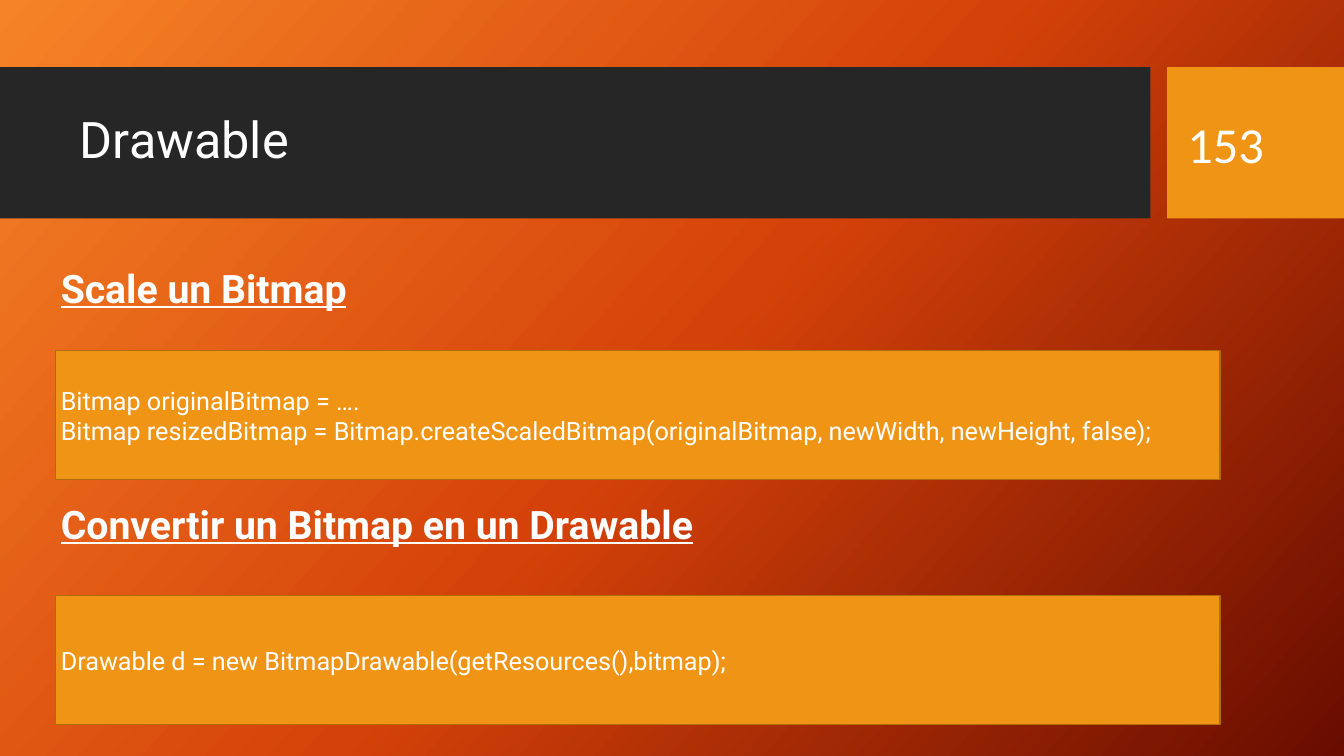
from copy import deepcopy

from pptx import Presentation
from pptx import util as u
from pptx.dml.color import RGBColor
from pptx.enum import shapes, text

WHITE, DARK, ORANGE, BROWN = "FFFFFF", "262626", "F09415", "AF6C0F"


def colour(code):
    return RGBColor.from_string(code)


class SlideBuilder:
    """Holds the style and the current slide."""

    font = "Roboto"
    inset = 3.6

    def __init__(self, deck):
        self.page = deck.slides.add_slide(deck.slide_layouts[5])

    def background(self, codes, angle):
        fill = self.page.background.fill
        fill.gradient()
        fill.gradient_angle = 360 - angle
        stop_list = self.page.element.xpath(".//p:bg//a:gsLst")[0]
        while len(stop_list) < len(codes):
            stop_list.append(deepcopy(stop_list[-1]))
        for index, (stop, code) in enumerate(zip(fill.gradient_stops, codes)):
            stop.position = index / (len(codes) - 1)
            stop.color.rgb = colour(code)

    def set_text(self, box, words, size, font=None, bold=False,
                 anchor=text.MSO_ANCHOR.MIDDLE, wrap=True):
        frame = box.text_frame
        frame.text = words
        frame.word_wrap = wrap
        frame.auto_size = text.MSO_AUTO_SIZE.NONE
        frame.vertical_anchor = anchor
        frame.margin_left = frame.margin_right = u.Pt(self.inset)
        frame.margin_top = frame.margin_bottom = u.Pt(self.inset)
        for para in frame.paragraphs:
            para.alignment = text.PP_ALIGN.LEFT
            for span in para.runs:
                span.font.name = font or self.font
                span.font.size = u.Pt(size)
                span.font.bold = bold
                span.font.underline = bold
                span.font.color.rgb = colour(WHITE)

    def title(self, words, left, top, width, height):
        box = self.page.shapes.title
        box.left, box.top = u.Pt(left), u.Pt(top)
        box.width, box.height = u.Pt(width), u.Pt(height)
        self.set_text(box, words, 36)
        box.text_frame.paragraphs[0].line_spacing = 0.9

    def rectangle(self, left, top, width, height, fill, line=None):
        box = self.page.shapes.add_shape(
            shapes.MSO_SHAPE.RECTANGLE,
            u.Pt(left), u.Pt(top), u.Pt(width), u.Pt(height))
        box.shadow.inherit = False
        box.fill.solid()
        box.fill.fore_color.rgb = colour(fill)
        if line:
            box.line.color.rgb = colour(line)
            box.line.width = u.Pt(1)
        else:
            box.line.fill.background()
        return box

    def band(self, left, width, fill):
        """A header band, kept behind the title."""
        box = self.rectangle(left, 48, width, 108, fill)
        self.page.shapes.title.element.addprevious(box.element)

    def label(self, words, left, top, width, height, size, **style):
        box = self.page.shapes.add_textbox(
            u.Pt(left), u.Pt(top), u.Pt(width), u.Pt(height))
        self.set_text(box, words, size, **style)

    def code(self, words, left, top, width, height):
        box = self.rectangle(left, top, width, height, ORANGE, BROWN)
        self.set_text(box, words, 18)


def main():
    deck = Presentation()
    deck.slide_width, deck.slide_height = u.Pt(960), u.Pt(540)
    slide = SlideBuilder(deck)
    slide.background(["F68327", "D54209", "690D00"], 42)

    # Header
    slide.band(0, 821.8, DARK)
    slide.band(833.6, 126.4, ORANGE)
    slide.title("Drawable", 53.5, 59, 757, 85)
    slide.label("153", 844.6, 78, 65, 49, 36, font="Calibri", wrap=False)

    # Headings, each with its code box
    sections = [
        ("Scale un Bitmap",
         "Bitmap originalBitmap = ….\n"
         "Bitmap resizedBitmap = Bitmap.createScaledBitmap("
         "originalBitmap, newWidth, newHeight, false);"),
        ("Convertir un Bitmap en un Drawable",
         "Drawable d = new BitmapDrawable(getResources(),bitmap);"),
    ]
    for index, (heading, code) in enumerate(sections):
        slide.label(heading, 39.8, 185 + 168.5 * index, 891, 42, 28,
                    bold=True, anchor=text.MSO_ANCHOR.TOP)
        slide.code(code, 39.8, 250.5 + 175 * index, 831.6, 92)

    deck.save("out.pptx")


if __name__ == "__main__":
    main()
